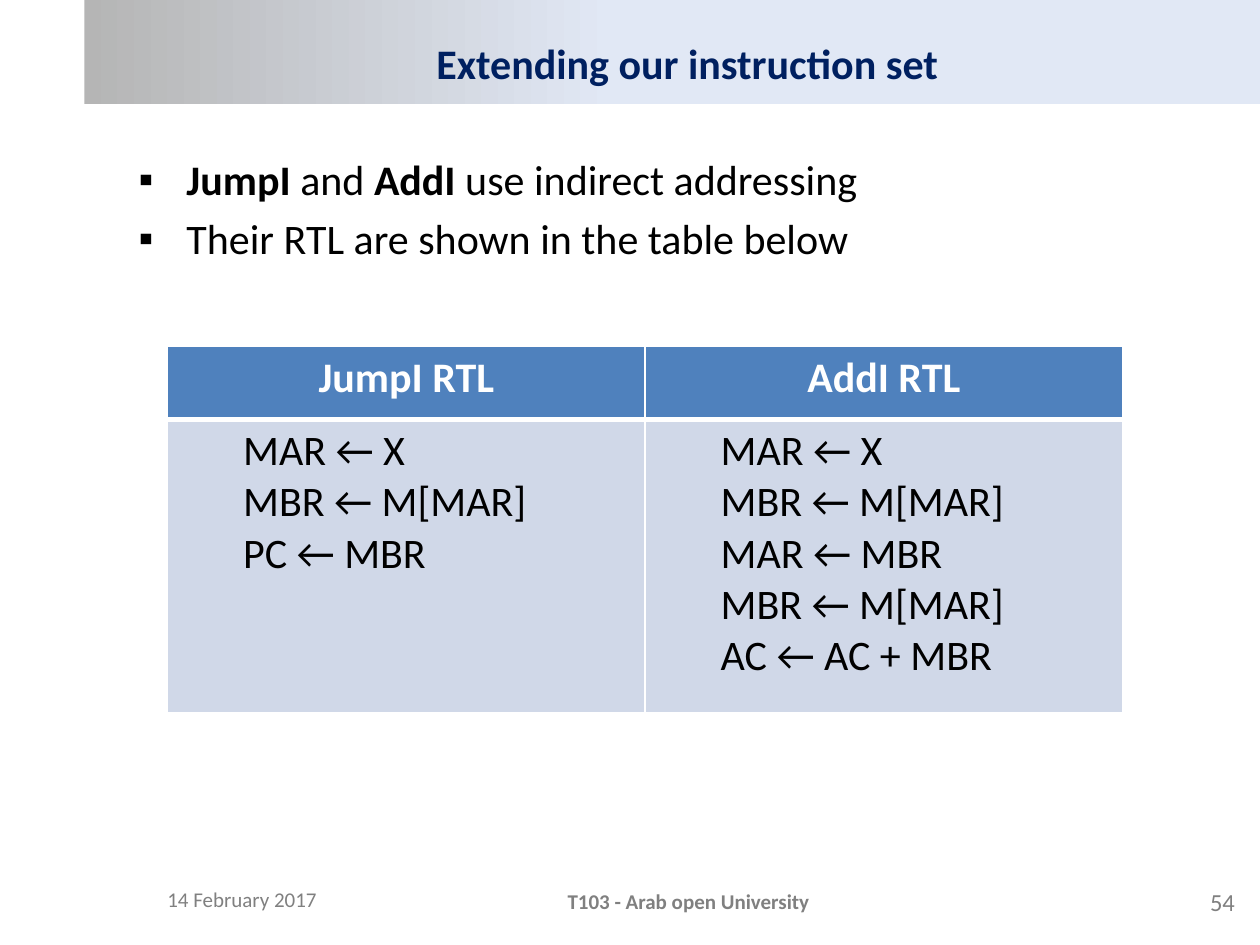
from lxml.etree import SubElement
from pptx import Presentation
from pptx.dml.color import RGBColor
from pptx.enum.shapes import MSO_SHAPE
from pptx.enum.text import MSO_ANCHOR, MSO_AUTO_SIZE, PP_ALIGN
from pptx.oxml.ns import qn
from pptx.util import Inches, Pt

COLORS = {
    "black": "000000", "white": "FFFFFF", "navy": "002060", "gray": "808080",
    "band_start": "B5B5B5", "band_end": "E1E8F5",
    "header": "4F81BD", "cell": "D0D8E8",
}
LEFT, CENTER, RIGHT = PP_ALIGN.LEFT, PP_ALIGN.CENTER, PP_ALIGN.RIGHT


def color(name):
    return RGBColor.from_string(COLORS[name])


def write(para, text, size=24, fill="black", bold=False, align=LEFT, font="Calibri"):
    para.alignment = align
    span = para.add_run()
    span.text = text
    span.font.name = font
    span.font.size = Pt(size)
    span.font.bold = bold
    span.font.color.rgb = color(fill)


def paragraph(frame, index):
    return frame.paragraphs[0] if index == 0 else frame.add_paragraph()


def indent(para, left, first=0):
    properties = para._p.get_or_add_pPr()
    properties.set("marL", str(Inches(left)))
    properties.set("indent", str(Inches(first)))
    return properties


class SlideBuilder:
    def __init__(self, deck):
        self.page = deck.slides.add_slide(deck.slide_layouts[1])

    def place(self, box, left, top, width, height):
        box.left, box.top = Inches(left), Inches(top)
        box.width, box.height = Inches(width), Inches(height)
        box.text_frame.auto_size = MSO_AUTO_SIZE.NONE
        return box.text_frame

    def band(self, left, top, width, height):
        box = self.page.shapes.add_shape(
            MSO_SHAPE.RECTANGLE, Inches(left), Inches(top), Inches(width), Inches(height))
        box.shadow.inherit = False
        box.line.fill.background()
        box.fill.gradient()
        box.fill.gradient_angle = 0
        stops = ((0, "band_start"), (0.45, "band_end"))
        for stop, (position, name) in zip(box.fill.gradient_stops, stops):
            stop.position = position
            stop.color.rgb = color(name)
        self.page.shapes._spTree.insert(2, box._element)

    def title(self, text, *bounds):
        frame = self.place(self.page.shapes.title, *bounds)
        frame.vertical_anchor = MSO_ANCHOR.MIDDLE
        write(frame.paragraphs[0], text, fill="navy", bold=True, align=CENTER)

    def bullets(self, items, *bounds):
        frame = self.place(self.page.placeholders[1], *bounds)
        for index, spans in enumerate(items):
            para = paragraph(frame, index)
            properties = indent(para, 0.38, -0.38)
            para.space_before = Pt(4.8 if index else 0)
            SubElement(properties, qn("a:buFont"), typeface="Wingdings")
            SubElement(properties, qn("a:buChar"), char="▪")
            properties.find(qn("a:buFont")).set("typeface", "Arial")
            for text, bold in spans:
                write(para, text, bold=bold)

    def borders(self, cell, **widths):
        properties = cell._tc.get_or_add_tcPr()
        for side in "LRTB":
            line = SubElement(properties, qn(f"a:ln{side}"), w=str(Pt(widths.get(side, 1))))
            fill = SubElement(line, qn("a:solidFill"))
            SubElement(fill, qn("a:srgbClr"), val=COLORS["white"])

    def table(self, columns, left, top, width, heights):
        table = self.page.shapes.add_table(
            2, len(columns), Inches(left), Inches(top),
            Inches(width), Inches(sum(heights))).table
        for row, height in zip(table.rows, heights):
            row.height = Inches(height)
        for number, (heading, steps) in enumerate(columns):
            table.columns[number].width = Inches(width / len(columns))
            header, body = table.cell(0, number), table.cell(1, number)
            self.borders(header, B=3)
            self.borders(body, T=3)
            for cell, name in ((header, "header"), (body, "cell")):
                cell.fill.solid()
                cell.fill.fore_color.rgb = color(name)
            write(header.text_frame.paragraphs[0], heading,
                  fill="white", bold=True, align=CENTER)
            for index, step in enumerate(steps):
                para = paragraph(body.text_frame, index)
                indent(para, 0.5)
                write(para, step)

    def footer(self, text, left, top, width, **style):
        box = self.page.shapes.add_textbox(0, 0, 0, 0)
        frame = self.place(box, left, top, width, 0.4)
        frame.word_wrap = True
        frame.vertical_anchor = MSO_ANCHOR.MIDDLE
        write(frame.paragraphs[0], text, fill="gray", **style)


def main():
    deck = Presentation()
    deck.slide_width, deck.slide_height = Inches(10), Inches(7.5)
    slide = SlideBuilder(deck)
    slide.band(0.67, 0, 9.33, 0.83)
    slide.title("Extending our instruction set", 0.91, 0.25, 9.09, 0.5)
    slide.bullets([
        [("JumpI", True), (" and ", False), ("AddI", True),
         (" use indirect addressing", False)],
        [("Their RTL are shown in the table below", False)],
    ], 1, 1.17, 8.92, 4.95)
    slide.table([
        ("JumpI RTL", ["MAR ← X", "MBR ← M[MAR]", "PC ← MBR"]),
        ("AddI RTL", ["MAR ← X", "MBR ← M[MAR]", "MAR ← MBR",
                      "MBR ← M[MAR]", "AC ← AC + MBR"]),
    ], 1.33, 2.75, 7.58, (0.58, 2.33))
    slide.footer("14 February 2017", 1.23, 6.94, 2.33, size=12)
    slide.footer("T103 - Arab open University", 3.88, 6.95, 3.17,
                 size=12, bold=True, align=CENTER)
    slide.footer("54", 7.57, 6.96, 2.33, size=14, align=RIGHT)
    deck.save("out.pptx")


if __name__ == "__main__":
    main()
